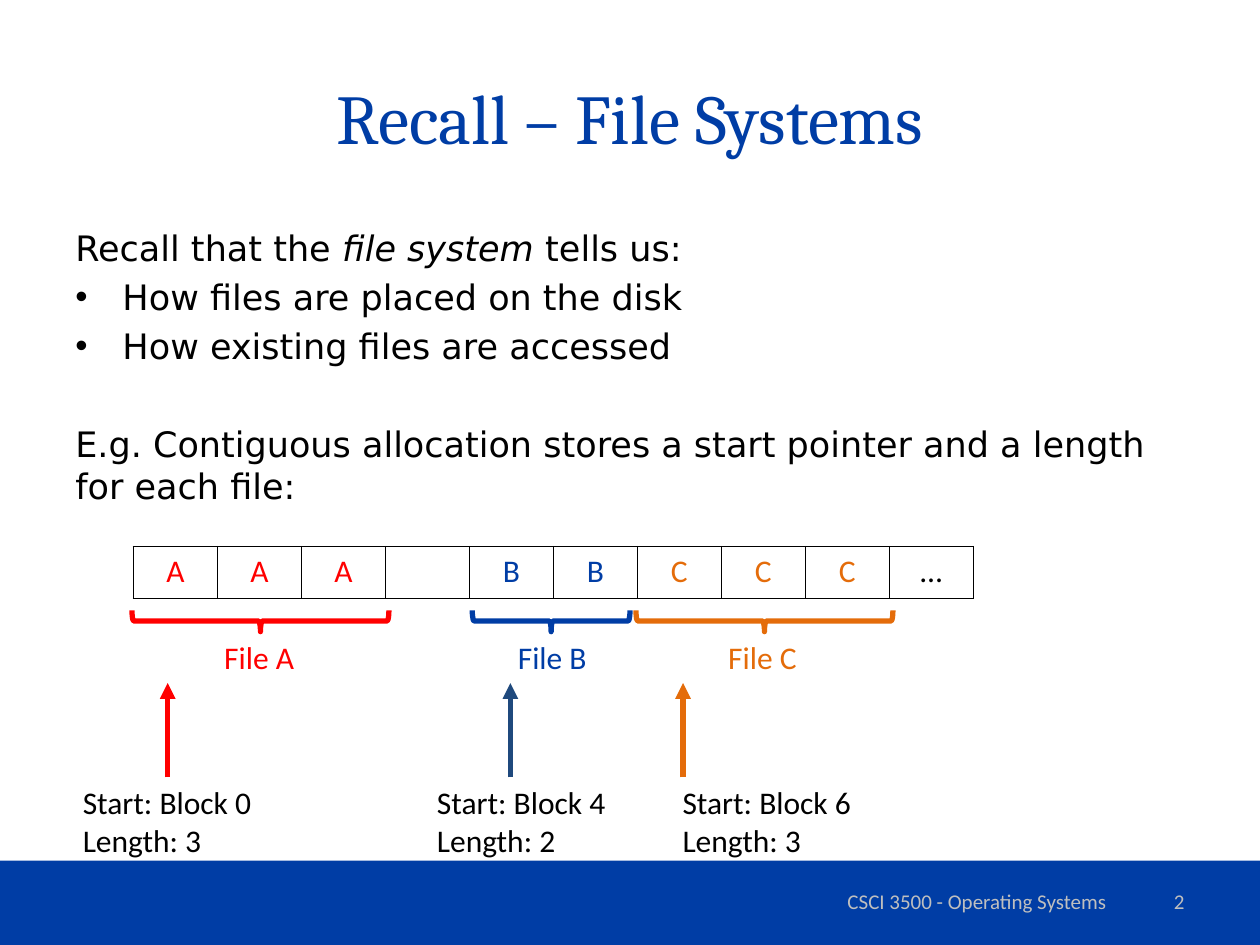
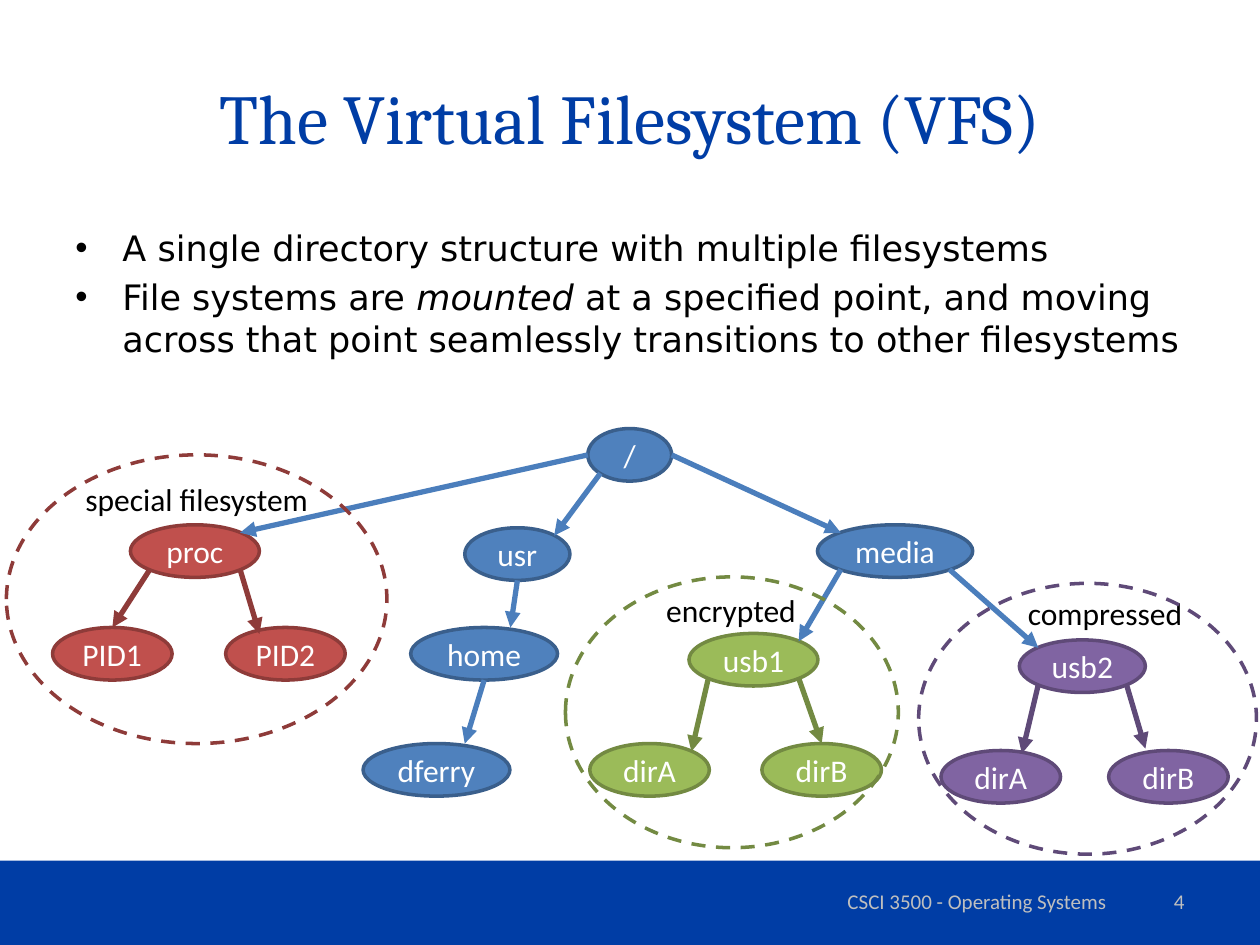
"""Build two operating-systems slides: file system recall and the virtual filesystem."""
from dataclasses import dataclass

from lxml import etree
from pptx import Presentation
from pptx.dml.color import RGBColor
from pptx.enum.dml import MSO_LINE
from pptx.enum.shapes import MSO_CONNECTOR, MSO_SHAPE
from pptx.enum.text import MSO_ANCHOR, PP_ALIGN
from pptx.oxml.ns import qn
from pptx.util import Cm, Pt

LEFT, CENTER, RIGHT = PP_ALIGN.LEFT, PP_ALIGN.CENTER, PP_ALIGN.RIGHT
TOP, MIDDLE = MSO_ANCHOR.TOP, MSO_ANCHOR.MIDDLE
RECT, OVAL, BRACE = MSO_SHAPE.RECTANGLE, MSO_SHAPE.OVAL, MSO_SHAPE.RIGHT_BRACE
STRAIGHT, DASH = MSO_CONNECTOR.STRAIGHT, MSO_LINE.DASH


@dataclass(frozen=True)
class Theme:
    royal: str = "003DA5"
    navy: str = "1F497D"
    red: str = "FF0000"
    orange: str = "E46C0A"
    black: str = "000000"
    white: str = "FFFFFF"
    footer: str = "BFBFBF"
    arrow: str = "4B7EBC"
    blue_node: tuple = ("4F81BD", "3A5F8C")
    red_node: tuple = ("C0504D", "8E3B39")
    green_node: tuple = ("9BBB59", "738A42")
    purple_node: tuple = ("8064A2", "5F4A78")
    title_font: str = "Cambria"
    body_font: str = "DejaVu Sans"
    label_font: str = "Calibri"
    title_size: int = 40
    body_size: int = 20
    label_size: int = 18
    footer_size: int = 12
    thin: int = 2
    thick: int = 3


T = Theme()


def write(tf, text, size=T.label_size, font=T.label_font, color=T.black, align=LEFT,
          anchor=TOP, wrap=False, bullet=False, before=0):
    """Add a paragraph to a text frame; *stars* mark italics, newlines break lines."""
    tf.word_wrap = wrap
    tf.vertical_anchor = anchor
    p = tf.paragraphs[0] if not tf.text else tf.add_paragraph()
    p.alignment = align
    p.space_before = Pt(before)
    if bullet:
        pPr = p._p.get_or_add_pPr()
        pPr.set("marL", str(Cm(0.95)))
        pPr.set("indent", str(-Cm(0.95)))
        etree.SubElement(pPr, qn("a:buFont")).set("typeface", "Arial")
        etree.SubElement(pPr, qn("a:buChar")).set("char", "•")
    for n, line in enumerate(text.split("\n")):
        if n:
            p.add_line_break()
        for i, part in enumerate(line.split("*")):
            r = p.add_run()
            r.text = part
            r.font.size = Pt(size)
            r.font.name = font
            r.font.italic = i % 2 == 1
            r.font.color.rgb = RGBColor.from_string(color)


def arrow(s, start, end, color):
    """Draw a straight arrow between two points in centimetres."""
    c = s.shapes.add_connector(STRAIGHT, *map(Cm, (*start, *end)))
    c.line.width = Pt(T.thick)
    c.line.color.rgb = RGBColor.from_string(color)
    etree.SubElement(c.line._get_or_add_ln(), qn("a:tailEnd")).set("type", "triangle")
    etree.SubElement(c._element.spPr, qn("a:effectLst"))


prs = Presentation()
prs.slide_width, prs.slide_height = Cm(25.4), Cm(19.05)

pages = [
    ("Recall – File Systems", "2", [
        ("Recall that the *file system* tells us:", False, 0),
        ("How files are placed on the disk", True, 4),
        ("How existing files are accessed", True, 4),
        ("E.g. Contiguous allocation stores a start pointer and a length for each file:",
         False, 32),
    ]),
    ("The Virtual Filesystem (VFS)", "4", [
        ("A single directory structure with multiple filesystems", True, 0),
        ("File systems are *mounted* at a specified point, and moving across that point "
         "seamlessly transitions to other filesystems", True, 4),
    ]),
]
slides = []
for title, number, body in pages:
    s = prs.slides.add_slide(prs.slide_layouts[6])
    slides.append(s)
    band = s.shapes.add_shape(RECT, 0, Cm(17.35), prs.slide_width, Cm(1.7))
    band.shadow.inherit = False
    band.fill.solid()
    band.fill.fore_color.rgb = RGBColor.from_string(T.royal)
    band.line.fill.background()

    tf = s.shapes.add_textbox(Cm(1.27), Cm(0.76), Cm(22.86), Cm(3.18)).text_frame
    write(tf, title, size=T.title_size, font=T.title_font, color=T.royal,
          align=CENTER, anchor=MIDDLE, wrap=True)
    tf = s.shapes.add_textbox(Cm(1.27), Cm(4.45), Cm(22.86), Cm(12.57)).text_frame
    for text, bullet, before in body:
        write(tf, text, size=T.body_size, font=T.body_font, wrap=True,
              bullet=bullet, before=before)
    for text, x, w, align in [("CSCI 3500 - Operating Systems", 15.67, 8.05, CENTER),
                              (number, 18.21, 5.92, RIGHT)]:
        tf = s.shapes.add_textbox(Cm(x), Cm(17.65), Cm(w), Cm(1.02)).text_frame
        write(tf, text, size=T.footer_size, color=T.footer, align=align,
              anchor=MIDDLE, wrap=True)

recall, vfs = slides

blocks = ["A", "A", "A", "", "B", "B", "C", "C", "C", "…"]
block_colors = {"A": T.red, "B": T.royal, "C": T.orange}
table = recall.shapes.add_table(1, len(blocks), Cm(2.69), Cm(11.02),
                                Cm(16.93), Cm(1.04)).table
table.first_row = table.horz_banding = False
for cell, block in zip(table.rows[0].cells, blocks):
    tcPr = cell._tc.get_or_add_tcPr()
    for side in ("lnL", "lnR", "lnT", "lnB"):
        ln = etree.SubElement(tcPr, qn(f"a:{side}"), w=str(Pt(1)))
        fill = etree.SubElement(ln, qn("a:solidFill"))
        etree.SubElement(fill, qn("a:srgbClr")).set("val", T.black)
    cell.fill.background()
    if block:
        write(cell.text_frame, block, color=block_colors.get(block, T.black),
              align=CENTER, wrap=True)

files = [
    ("A", 5.25, 5.18, 4.27, 3.38, T.red, 1.42, "Start: Block 0\nLength: 3"),
    ("B", 11.11, 3.18, 10.19, 10.29, T.navy, 8.56, "Start: Block 4\nLength: 2"),
    ("C", 15.41, 5.18, 14.43, 13.77, T.orange, 13.51, "Start: Block 6\nLength: 3"),
]
brace_w, brace_y = 0.43, 12.52
for name, mid, span, label_x, arrow_x, arrow_color, note_x, note in files:
    color = block_colors[name]
    sp = recall.shapes.add_shape(BRACE, Cm(mid - brace_w / 2), Cm(brace_y - span / 2),
                                 Cm(brace_w), Cm(span))
    sp.rotation = 90
    sp.shadow.inherit = False
    sp.fill.background()
    sp.line.width = Pt(T.thick)
    sp.line.color.rgb = RGBColor.from_string(color)
    tf = recall.shapes.add_textbox(Cm(label_x), Cm(12.73), Cm(1.93), Cm(1.02)).text_frame
    write(tf, f"File {name}", color=color)
    arrow(recall, (arrow_x, 15.67), (arrow_x, 13.77), arrow_color)
    tf = recall.shapes.add_textbox(Cm(note_x), Cm(15.66), Cm(3.94), Cm(1.8)).text_frame
    write(tf, note)

node_h = 1.06
nodes = {
    "root": ("/", 11.85, 8.64, 1.69, T.blue_node),
    "usr": ("usr", 9.37, 10.64, 2.12, T.blue_node),
    "media": ("media", 16.48, 10.58, 3.13, T.blue_node),
    "usb2": ("usb2", 20.55, 12.9, 2.54, T.purple_node),
    "usb2/dirA": ("dirA", 18.97, 15.13, 2.41, T.purple_node),
    "usb2/dirB": ("dirB", 22.35, 15.13, 2.41, T.purple_node),
    "usb1": ("usb1", 13.89, 12.77, 2.6, T.green_node),
    "usb1/dirA": ("dirA", 11.89, 14.99, 2.41, T.green_node),
    "usb1/dirB": ("dirB", 15.36, 14.99, 2.41, T.green_node),
    "proc": ("proc", 2.63, 10.58, 2.6, T.red_node),
    "PID1": ("PID1", 1.06, 12.65, 2.41, T.red_node),
    "PID2": ("PID2", 4.55, 12.65, 2.41, T.red_node),
    "home": ("home", 8.28, 12.65, 2.96, T.blue_node),
    "dferry": ("dferry", 7.32, 14.99, 2.96, T.blue_node),
}
sites = {"n": (0.5, 0), "s": (0.5, 1), "w": (0, 0.5), "e": (1, 0.5),
         "nw": (0.15, 0.15), "ne": (0.85, 0.15), "sw": (0.15, 0.85), "se": (0.85, 0.85)}
anchors = {}
for key, (text, x, y, w, (fill, line)) in nodes.items():
    sp = vfs.shapes.add_shape(OVAL, Cm(x), Cm(y), Cm(w), Cm(node_h))
    sp.shadow.inherit = False
    sp.fill.solid()
    sp.fill.fore_color.rgb = RGBColor.from_string(fill)
    sp.line.width = Pt(T.thin)
    sp.line.color.rgb = RGBColor.from_string(line)
    write(sp.text_frame, text, color=T.white, align=CENTER, anchor=MIDDLE)
    for site, (fx, fy) in sites.items():
        anchors[key, site] = (x + fx * w, y + fy * node_h)

edges = [
    (("root", "w"), anchors["proc", "ne"]),
    (("root", "e"), anchors["media", "nw"]),
    (("root", "sw"), anchors["usr", "ne"]),
    (("proc", "sw"), anchors["PID1", "n"]),
    (("proc", "se"), (5.23, 12.78)),
    (("usr", "s"), (10.29, 12.65)),
    (("home", "s"), (9.37, 14.99)),
    (("media", "sw"), anchors["usb1", "ne"]),
    (("media", "se"), anchors["usb2", "nw"]),
    (("usb1", "sw"), anchors["usb1/dirA", "ne"]),
    (("usb1", "se"), anchors["usb1/dirB", "n"]),
    (("usb2", "sw"), (20.6, 15.19)),
    (("usb2", "se"), (23.09, 15.09)),
]
for start, end in edges:
    palette = nodes[start[0]][4]
    arrow(vfs, anchors[start], end, T.arrow if palette == T.blue_node else palette[1])

mounts = [
    ("encrypted", 13.18, 11.79, 3.15, (11.4, 11.63, 6.71, 5.46), T.green_node),
    ("compressed", 20.47, 11.86, 3.66, (18.52, 11.76, 6.81, 5.46), T.purple_node),
    ("special filesystem", 1.47, 9.55, 5.11, (0.13, 9.17, 7.67, 5.82), T.red_node),
]
for text, x, y, w, ring, (_, line) in mounts:
    tf = vfs.shapes.add_textbox(Cm(x), Cm(y), Cm(w), Cm(1.02)).text_frame
    write(tf, text)
    sp = vfs.shapes.add_shape(OVAL, *map(Cm, ring))
    sp.shadow.inherit = False
    sp.fill.background()
    sp.line.width = Pt(T.thin)
    sp.line.color.rgb = RGBColor.from_string(line)
    sp.line.dash_style = DASH

prs.save("out.pptx")
